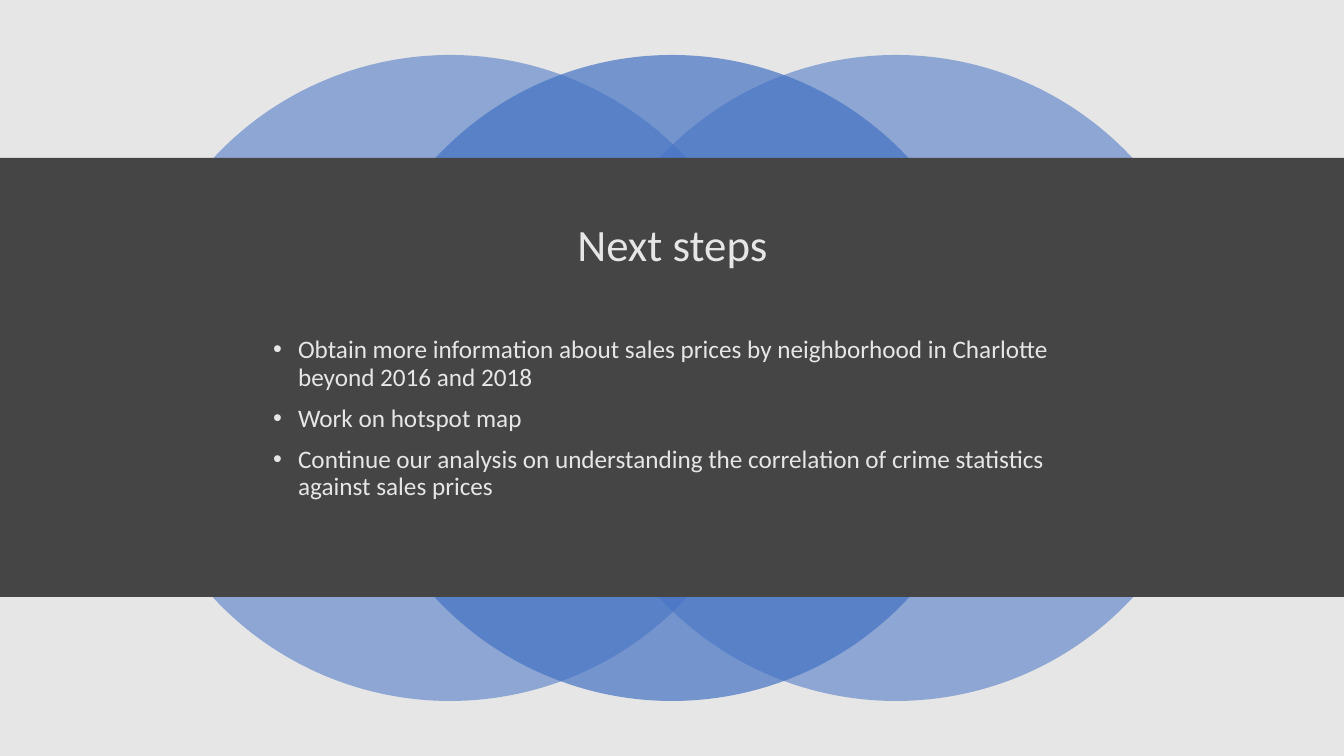
"""Build the "Next steps" slide: a dark band of text over three overlapping discs."""
from dataclasses import dataclass
from typing import Any

from lxml import etree
from pptx import Presentation, util as u
from pptx.dml import color as c
from pptx.enum import shapes as s, text as t
from pptx.oxml import ns

SCALE = 914400 / 100.8


@dataclass(frozen=True)
class Theme:
    dark: str = "454545"
    light: str = "E7E6E6"
    blue: str = "4472C4"
    font: str = "Calibri"
    head: int = 32
    body: int = 18


@dataclass(frozen=True)
class Box:
    left: int
    top: int
    width: int
    height: int

    def emu(self) -> list[u.Emu]:
        return [px(n) for n in (self.left, self.top, self.width, self.height)]


@dataclass(frozen=True)
class Form:
    kind: s.MSO_SHAPE
    box: Box
    fill: str
    alpha: int = 100


@dataclass(frozen=True)
class Copy:
    box: Box
    lines: tuple[str, ...]
    size: int
    frame: dict[str, Any]
    para: dict[str, Any]
    indent: int = 0


THEME = Theme()
WIDE, HIGH = 1344, 756
DISC = 646
RECT, OVAL = s.MSO_SHAPE.RECTANGLE, s.MSO_SHAPE.OVAL

BACK = Form(RECT, Box(0, 0, WIDE, HIGH), THEME.light)
BAND = Form(RECT, Box(0, 158, WIDE, 439), THEME.dark)
DISCS = [
    Form(OVAL, Box(left, (HIGH - DISC) // 2, DISC, DISC), THEME.blue, alpha)
    for left, alpha in ((127, 55), (573, 55), (349, 70))
]
TITLE = Copy(
    Box(93, 195, 1159, 103),
    ("Next steps",),
    THEME.head,
    {"vertical_anchor": t.MSO_ANCHOR.MIDDLE},
    {"alignment": t.PP_ALIGN.CENTER, "line_spacing": 0.9},
)
STEPS = Copy(
    Box(263, 332, 818, 233),
    (
        "Obtain more information about sales prices by neighborhood in Charlotte beyond 2016 and 2018",
        "Work on hotspot map",
        "Continue our analysis on understanding the correlation of crime statistics against sales prices",
    ),
    THEME.body,
    {"vertical_anchor": t.MSO_ANCHOR.TOP},
    {"alignment": t.PP_ALIGN.LEFT, "line_spacing": 0.9, "space_before": u.Pt(10)},
    25,
)


def px(n: int) -> u.Emu:
    return u.Emu(round(n * SCALE))


def rgb(code: str) -> c.RGBColor:
    return c.RGBColor.from_string(code)


def apply(item: Any, values: dict[str, Any]) -> None:
    for name, value in values.items():
        setattr(item, name, value)


def draw(tree: Any, form: Form) -> None:
    shape = tree.add_shape(form.kind, *form.box.emu())
    shape.shadow.inherit = False
    shape.line.fill.background()
    shape.fill.solid()
    shape.fill.fore_color.rgb = rgb(form.fill)
    if form.alpha < 100:
        tone = shape.fill._xPr.find(".//" + ns.qn("a:srgbClr"))
        etree.SubElement(tone, ns.qn("a:alpha"), val=str(form.alpha * 1000))


def write(holder: Any, copy: Copy) -> None:
    apply(holder, dict(zip(("left", "top", "width", "height"), copy.box.emu())))
    frame = holder.text_frame
    frame.text = "\n".join(copy.lines)
    apply(frame, {"word_wrap": True, "auto_size": t.MSO_AUTO_SIZE.NONE} | copy.frame)
    for para in frame.paragraphs:
        apply(para, copy.para)
        apply(para.font, {"name": THEME.font, "size": u.Pt(copy.size)})
        para.font.color.rgb = rgb(THEME.light)
        if copy.indent:
            props = para._p.get_or_add_pPr()
            props.set("marL", str(px(copy.indent)))
            props.set("indent", str(-px(copy.indent)))
    holder.element.getparent().append(holder.element)


def main() -> None:
    deck = Presentation()
    apply(deck, {"slide_width": px(WIDE), "slide_height": px(HIGH)})
    slide = deck.slides.add_slide(deck.slide_layouts[1])
    slide.background.fill.solid()
    slide.background.fill.fore_color.rgb = rgb(THEME.dark)
    draw(slide.shapes, BACK)
    group = slide.shapes.add_group_shape()
    for disc in DISCS:
        draw(group.shapes, disc)
    draw(slide.shapes, BAND)
    write(slide.shapes.title, TITLE)
    write(slide.placeholders[1], STEPS)
    deck.save("out.pptx")


if __name__ == "__main__":
    main()
